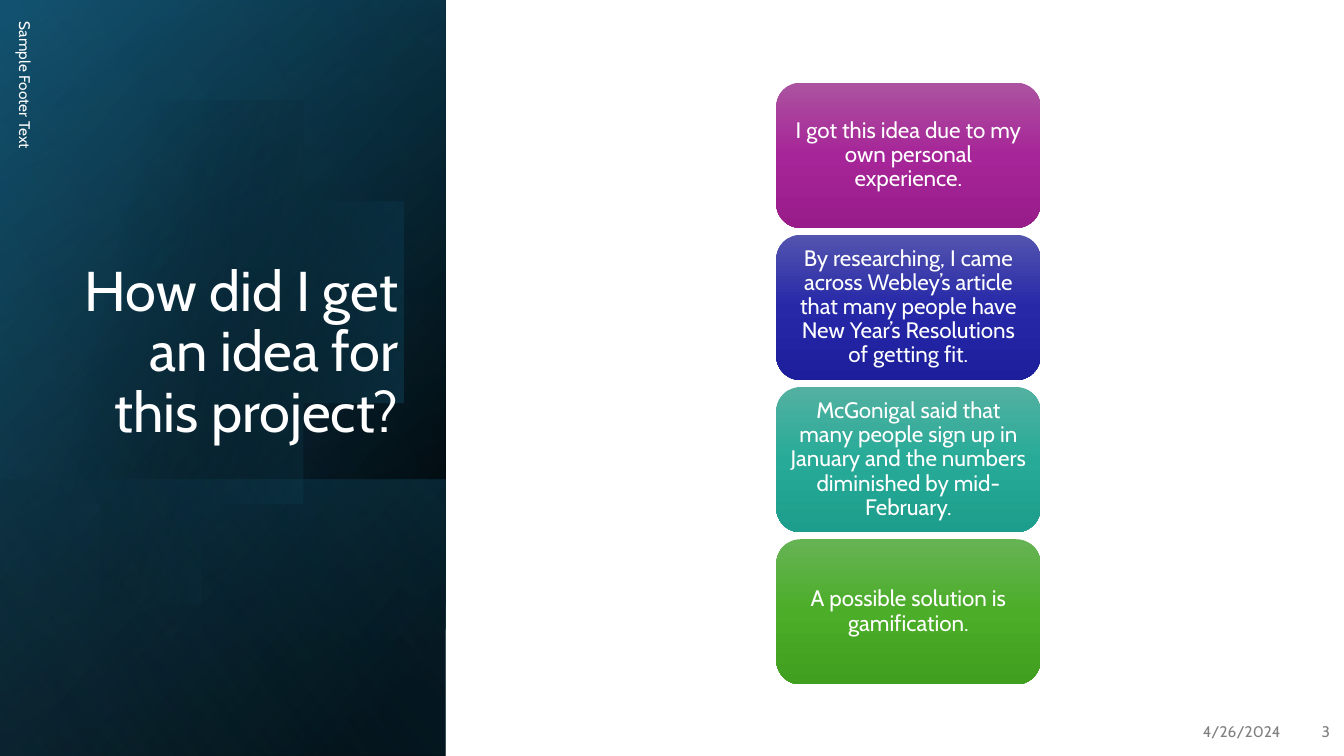
from math import acos, cos, sin
from pptx import Presentation
from pptx.dml.color import RGBColor
from pptx.enum.shapes import MSO_SHAPE
from pptx.enum.text import MSO_ANCHOR, PP_ALIGN
from pptx.oxml import parse_xml
from pptx.oxml.ns import nsdecls, qn
from pptx.util import Inches, Pt

RECT, ROUND = MSO_SHAPE.RECTANGLE, MSO_SHAPE.ROUNDED_RECTANGLE
MID, BOTTOM = MSO_ANCHOR.MIDDLE, MSO_ANCHOR.BOTTOM
LEFT, MIDDLE, RIGHT = PP_ALIGN.LEFT, PP_ALIGN.CENTER, PP_ALIGN.RIGHT

WIDE, HIGH = 13.33, 7.5
SIDE = 4.42
FONT = "Cabin"
HUES = {
    "black": "000000", "white": "FFFFFF", "grey": "808080",
    "navy": "104862", "teal": "156082", "sky": "46B1E1",
    "plum1": "AC53A0", "plum2": "A62598", "plum3": "991C8B",
    "blue1": "5354AE", "blue2": "2628A8", "blue3": "1D1E9B",
    "mint1": "53B0A1", "mint2": "27AB98", "mint3": "1D9D8B",
    "leaf1": "66B354", "leaf2": "4BAD28", "leaf3": "409F1E",
}
CARDS = [
    ("plum", "I got this idea due to my own personal experience."),
    ("blue", "By researching, I came across Webley’s article that many people "
             "have New Year’s Resolutions of getting fit."),
    ("mint", "McGonigal said that many people sign up in January and the "
             "numbers diminished by mid-February."),
    ("leaf", "A possible solution is gamification."),
]


def shade(shape, angle, stops):
    """Fill with a linear gradient; a stop is (place, hue, opacity) in percent."""
    marks = "".join(
        f'<a:gs pos="{place * 1000}"><a:srgbClr val="{HUES[hue]}">'
        f'<a:alpha val="{alpha * 1000}"/></a:srgbClr></a:gs>'
        for place, hue, alpha in stops)
    grad = parse_xml(
        f'<a:gradFill {nsdecls("a")} rotWithShape="1"><a:gsLst>{marks}</a:gsLst>'
        f'<a:lin ang="{angle * 60000}" scaled="0"/></a:gradFill>')
    shape.shadow.inherit = False
    shape.line.fill.background()
    shape.fill.background()
    props = shape._element.spPr
    props.replace(props.find(qn("a:noFill")), grad)


def turn(box):
    """Frame that covers the box once it is rotated a quarter turn."""
    x, y, w, h = box
    return x + (w - h) / 2, y + (h - w) / 2, h, w


def write(shape, text, size, hue, align, anchor=MID, after=0, lines=None):
    frame = shape.text_frame
    frame.word_wrap = True
    frame.vertical_anchor = anchor
    para = frame.paragraphs[0]
    para.text = text
    para.alignment = align
    para.space_after = Pt(after)
    if lines:
        para.line_spacing = lines
    para.font.name = FONT
    para.font.size = Pt(size)
    para.font.color.rgb = RGBColor.from_string(HUES[hue])


def label(slide, box, text, hue, align, angle=0):
    note = slide.shapes.add_textbox(*map(Inches, box))
    note.rotation = angle
    write(note, text, 11, hue, align, after=6)


def panel(slide, box, angle, stops):
    rect = slide.shapes.add_shape(RECT, *map(Inches, turn(box)))
    rect.rotation = 90
    rect._element.spPr.find(qn("a:xfrm")).set("flipH", "1")
    shade(rect, angle, stops)


def disc(slide, x, y, radius):
    """Circle cut off by the left edge of the slide."""
    end, steps = acos(-x / radius), 120
    turns = [end * (2 * i / steps - 1) for i in range(steps + 1)]
    dots = [(x + radius * cos(t), y + radius * sin(t)) for t in turns]
    pen = slide.shapes.build_freeform(*dots[0], scale=Inches(1))
    pen.add_line_segments(dots[1:], close=True)
    shade(pen.convert_to_shape(), 14, [(29, "black", 0), (100, "teal", 43)])


def sidebar(slide, box):
    x, y, w, h = box
    # Layered gradients
    panel(slide, box, 50, [(8, "black", 100), (100, "navy", 100)])
    panel(slide, box, 30, [(0, "black", 0), (99, "teal", 46)])
    low = 2.74
    panel(slide, (x, y + h - low, w, low), 130,
          [(2, "teal", 29), (100, "black", 30)])
    disc(slide, x + 1.44, y + 3.38, 2.29)
    panel(slide, box, 120, [(0, "black", 0), (99, "sky", 11)])

    # Title, raised above the panels
    title = slide.shapes.title
    slide.shapes._spTree.append(title._element)
    title.left, title.top = Inches(x + 0.64), Inches(y + 1.84)
    title.width, title.height = Inches(3.41), Inches(2.62)
    write(title, "How did I get an idea for this project?", 40, "white",
          RIGHT, BOTTOM, lines=0.9)

    # Upright footer
    label(slide, turn((x + 0.05, y + 0.12, 0.4, 4.5)), "Sample Footer Text",
          "white", LEFT, 90)


def stack(slide, box):
    x, y, w, h = box
    gap = 0.07
    tall = (h - gap * (len(CARDS) - 1)) / len(CARDS)
    for row, (hue, text) in enumerate(CARDS):
        top = y + row * (tall + gap)
        card = slide.shapes.add_shape(ROUND, *map(Inches, (x, top, w, tall)))
        shade(card, 90, [(0, hue + "1", 100), (50, hue + "2", 100),
                         (100, hue + "3", 100)])
        frame = card.text_frame
        frame.margin_left = frame.margin_right = Inches(0.07)
        frame.margin_top = frame.margin_bottom = Inches(0.03)
        write(card, text, 16, "white", MIDDLE, lines=0.9)


def footer(slide, box):
    x, y, w, h = box
    page = 0.49
    label(slide, (x, y, w - page, h), "4/26/2024", "grey", RIGHT)
    label(slide, (x + w - page, y, page, h), "3", "grey", RIGHT)


def main():
    deck = Presentation()
    deck.slide_width, deck.slide_height = Inches(WIDE), Inches(HIGH)
    slide = deck.slides.add_slide(deck.slide_layouts[5])
    sidebar(slide, (0, 0, SIDE, HIGH))
    footer(slide, (9.81, 7.06, 3.48, 0.4))
    stack(slide, (7.7, 0.82, 2.62, 5.97))
    deck.save("out.pptx")


if __name__ == "__main__":
    main()
